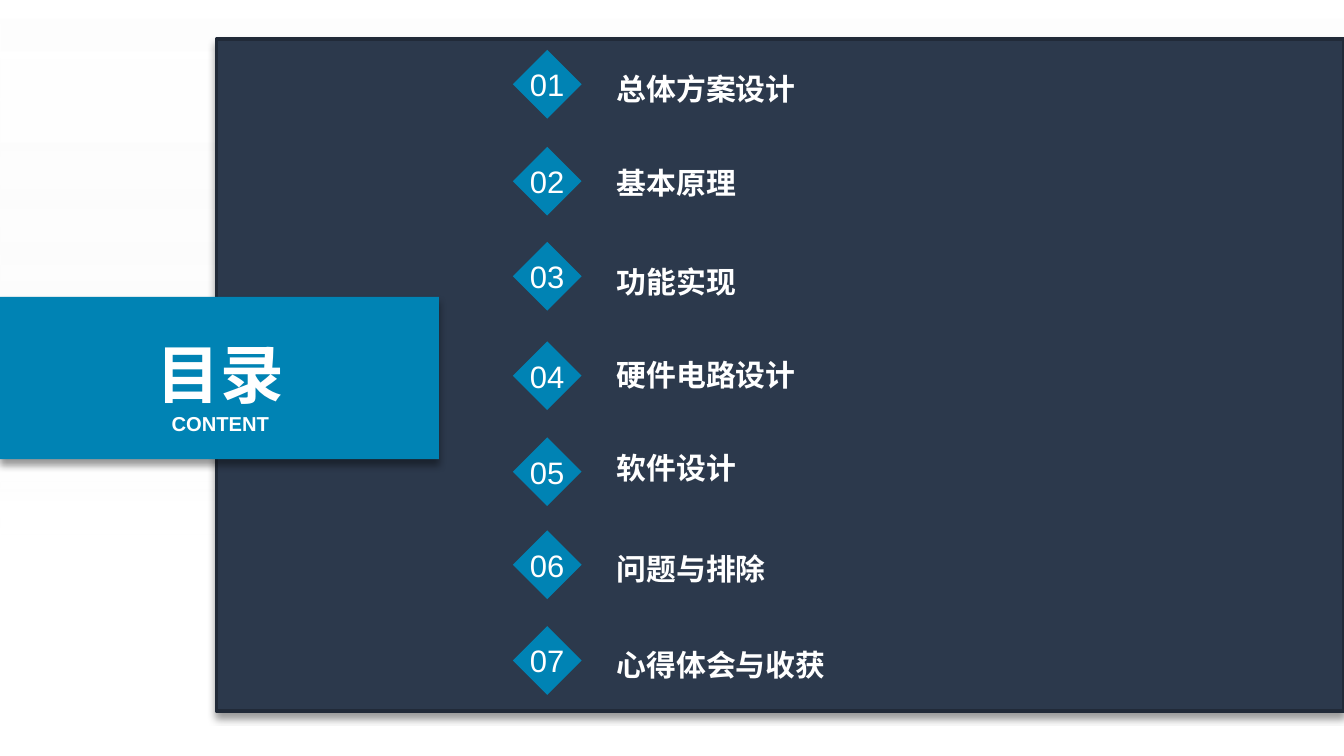
"""Build a table-of-contents slide with seven numbered diamonds."""
from lxml.etree import SubElement
from pptx import Presentation
from pptx.dml.color import RGBColor
from pptx.enum.shapes import MSO_SHAPE
from pptx.enum.text import MSO_ANCHOR, MSO_AUTO_SIZE, PP_ALIGN
from pptx.oxml.ns import qn
from pptx.util import Pt

WHITE, BLUE, NAVY, NAVY_EDGE = "FFFFFF", "0083B4", "2C394C", "212A38"
ROWS = [
    ("总体方案设计", 26.8, 56.9),
    ("基本原理", 78.7, 107.3),
    ("功能实现", 129.6, 160.6),
    ("硬件电路设计", 182.9, 210.2),
    ("软件设计", 234.3, 260),
    ("问题与排除", 284.2, 314),
    ("心得体会与收获", 335.5, 365.8),
]
DIAMOND_SIZE = 36.8
LABEL_HEIGHT = 26


def color(value):
    return RGBColor.from_string(value)


def write(shape, text, size, bold, alignment, anchor, margins):
    frame = shape.text_frame
    frame.text = text
    left, top, right, bottom = margins
    frame_format = {
        "word_wrap": False, "auto_size": MSO_AUTO_SIZE.NONE, "vertical_anchor": anchor,
        "margin_left": Pt(left), "margin_top": Pt(top),
        "margin_right": Pt(right), "margin_bottom": Pt(bottom),
    }
    for name, value in frame_format.items():
        setattr(frame, name, value)
    paragraph = frame.paragraphs[0]
    paragraph.alignment = alignment
    for name, value in {"name": "Arial", "size": Pt(size), "bold": bold}.items():
        setattr(paragraph.font, name, value)
    paragraph.font.color.rgb = color(WHITE)


presentation = Presentation()
presentation.slide_width, presentation.slide_height = Pt(720), Pt(405)
slide = presentation.slides.add_slide(presentation.slide_layouts[5])
shapes = slide.shapes

backdrop = shapes.add_shape(MSO_SHAPE.RECTANGLE, 0, 0, Pt(720), Pt(405))
backdrop.shadow.inherit = False
backdrop.line.fill.background()
backdrop.fill.gradient()
backdrop.fill.gradient_angle = 270
stops = [(0, WHITE, 55000), (0.71, "F2F2F2", 0)]
for stop, (position, shade, opacity) in zip(backdrop.fill.gradient_stops, stops):
    stop.position = position
    stop.color.rgb = color(shade)
for shade, (_, _, opacity) in zip(backdrop.element.spPr.iter(qn("a:srgbClr")), stops):
    SubElement(shade, qn("a:alpha"), val=str(opacity))

panel = shapes.add_shape(MSO_SHAPE.RECTANGLE, Pt(116), Pt(21), Pt(604), Pt(360))
panel.line.color.rgb = color(NAVY_EDGE)
panel.line.width = Pt(2)
banner = shapes.add_shape(MSO_SHAPE.RECTANGLE, 0, Pt(159), Pt(235.2), Pt(87))
banner.line.fill.background()
for shape, shade in [(panel, NAVY), (banner, BLUE)]:
    shape.fill.solid()
    shape.fill.fore_color.rgb = color(shade)
    shape.shadow.inherit = False
    effects = shape.element.spPr.find(qn("a:effectLst"))
    shadow = SubElement(effects, qn("a:outerShdw"), blurRad=str(Pt(4)), dist=str(Pt(3)),
                        dir="5400000", algn="t", rotWithShape="0")
    shadow_color = SubElement(shadow, qn("a:srgbClr"), val="000000")
    SubElement(shadow_color, qn("a:alpha"), val="40000")

title = shapes.title
title_place = {"left": 76.3, "top": 175.7, "width": 83.5, "height": 45.4}
for name, value in title_place.items():
    setattr(title, name, Pt(value))
banner.element.addnext(title.element)
subtitle = shapes.add_textbox(Pt(76.3), Pt(216.7), Pt(83.5), Pt(18))
for shape, text, size in [(title, "目录", 34.1), (subtitle, "CONTENT", 10.8)]:
    write(shape, text, size, True, PP_ALIGN.CENTER, MSO_ANCHOR.TOP, (7.2, 3.6, 7.2, 3.6))

for number, (text, diamond_top, label_bottom) in enumerate(ROWS, start=1):
    diamond = shapes.add_shape(MSO_SHAPE.DIAMOND, Pt(274.8), Pt(diamond_top),
                               Pt(DIAMOND_SIZE), Pt(DIAMOND_SIZE))
    diamond.shadow.inherit = False
    diamond.fill.solid()
    diamond.fill.fore_color.rgb = color(BLUE)
    diamond.line.fill.background()
    write(diamond, f"{number:02}", 16.6, False, PP_ALIGN.CENTER, MSO_ANCHOR.MIDDLE, (0, 0, 0, 0))
    label = shapes.add_textbox(Pt(302.4), Pt(label_bottom - LABEL_HEIGHT), Pt(234), Pt(LABEL_HEIGHT))
    write(label, text, 16, True, PP_ALIGN.LEFT, MSO_ANCHOR.BOTTOM, (28, 0, 0, 0))

presentation.save("out.pptx")
